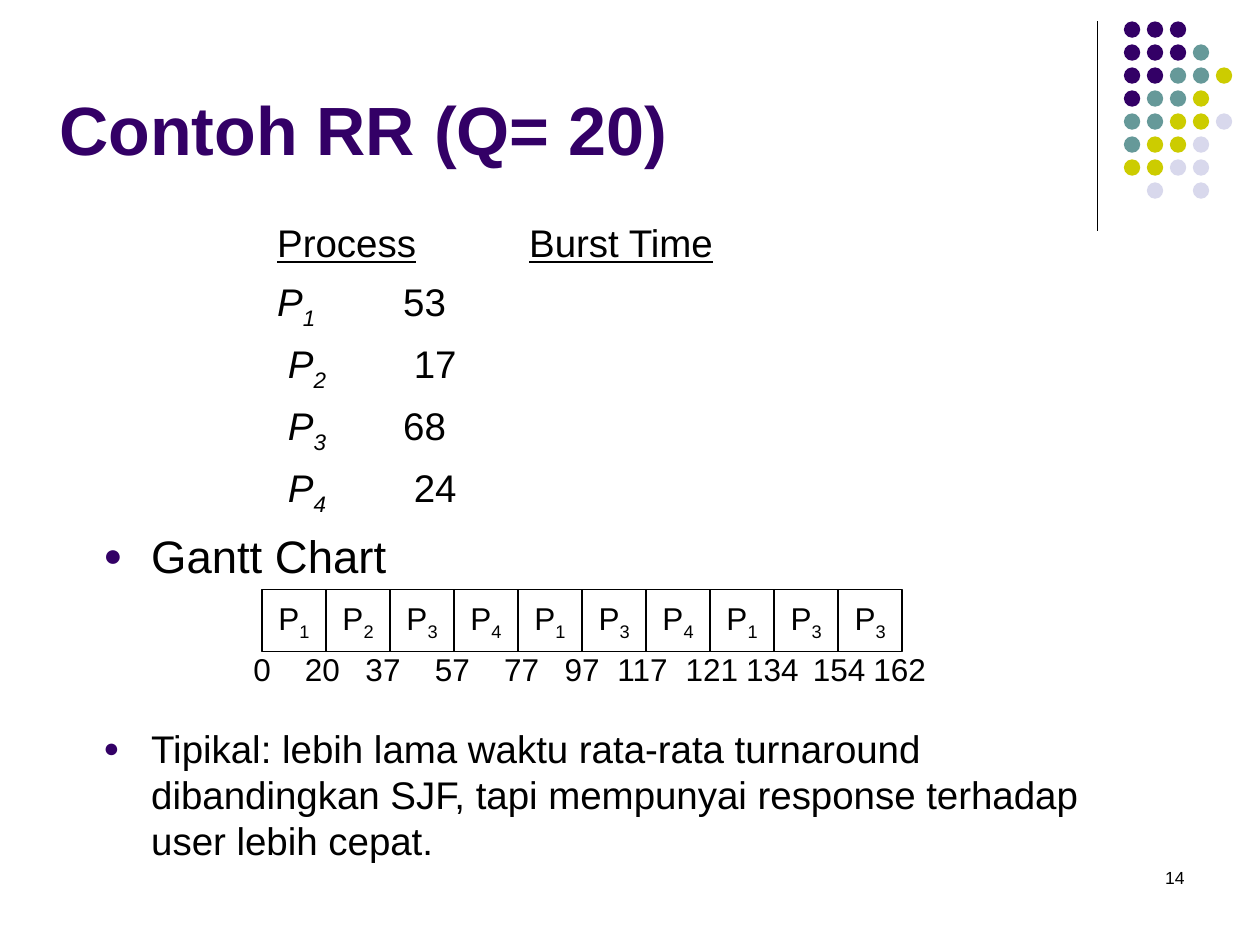
from lxml import etree
from pptx import Presentation
from pptx.dml.color import RGBColor
from pptx.enum.shapes import MSO_CONNECTOR, MSO_SHAPE
from pptx.enum.text import MSO_ANCHOR, MSO_AUTO_SIZE, PP_ALIGN
from pptx.oxml.ns import qn
from pptx.util import Inches, Pt

STRAIGHT = MSO_CONNECTOR.STRAIGHT
OVAL, RECTANGLE = MSO_SHAPE.OVAL, MSO_SHAPE.RECTANGLE
BOTTOM, MIDDLE = MSO_ANCHOR.BOTTOM, MSO_ANCHOR.MIDDLE
LEFT, CENTER, RIGHT = PP_ALIGN.LEFT, PP_ALIGN.CENTER, PP_ALIGN.RIGHT
NO_AUTOFIT = MSO_AUTO_SIZE.NONE
PURPLE, BLACK, WHITE = "330066", "000000", "FFFFFF"
SUBSCRIPT = "-25000"


def color(hex_text):
    return RGBColor.from_string(hex_text)


def set_font(para, size, hex_text=BLACK):
    para.font.name = "Arial"
    para.font.size = Pt(size)
    para.font.color.rgb = color(hex_text)


deck = Presentation()
deck.slide_width, deck.slide_height = Inches(10), Inches(7.5)
page = deck.slides.add_slide(deck.slide_layouts[1])
shapes = page.shapes

# Corner decoration: vertical rule and dot grid
rule = shapes.add_connector(STRAIGHT, Inches(8.71), Inches(0.17), Inches(8.71), Inches(1.83))
rule.line.color.rgb = color(BLACK)
rule.line.width = Pt(0.75)
etree.SubElement(rule._element.spPr, qn("a:effectLst"))

dot_colors = {"P": PURPLE, "T": "669999", "Y": "CCCC00", "L": "D8D8EC"}
dot_rows = ["PPP", "PPPT", "PPTTY", "PTTY", "TTYYL", "TYYL", "YYLL", ".L.L"]
dot_pitch = 0.73 / 4
for row, codes in enumerate(dot_rows):
    for column, code in enumerate(codes):
        if code == ".":
            continue
        dot = shapes.add_shape(OVAL, Inches(8.92 + column * dot_pitch),
                               Inches(0.17 + row * dot_pitch), Inches(0.13), Inches(0.13))
        dot.shadow.inherit = False
        dot.fill.solid()
        dot.fill.fore_color.rgb = color(dot_colors[code])
        dot.line.fill.background()

# Title
title = shapes.title
title.left, title.top, title.width, title.height = Inches(0.37), Inches(0.47), Inches(8.81), Inches(0.92)
title.text_frame.text = "Contoh RR (Q= 20)"
title.text_frame.auto_size = NO_AUTOFIT
title.text_frame.vertical_anchor = BOTTOM
para = title.text_frame.paragraphs[0]
para.alignment = LEFT
set_font(para, 39, PURPLE)
para.font.bold = True

# Body: process list, then bullets; each item is size, space before, bulleted, runs
body = page.placeholders[1]
body.left, body.top, body.width, body.height = Inches(0.72), Inches(1.58), Inches(8.38), Inches(5.47)
body.text_frame.auto_size = NO_AUTOFIT
items = [(22, 5.5, False, [("\t\t", "lead"), ("Process", "underline"), ("\t", ""),
                           ("Burst Time", "underline")])]
for indent, number, burst in [("", "1", "53"), (" ", "2", " 17"), (" ", "3", "68"), (" ", "4", " 24")]:
    items.append((22, 5.5, False, [("\t\t" + indent, ""), ("P", "italic"),
                                   (number, "subscript"), ("\t" + burst, "")]))
items.append((26, 6.5, True, [("Gantt Chart", "")]))
items.append((22, 81, True, [("Tipikal: lebih lama waktu rata-rata turnaround dibandingkan SJF, "
                              "tapi mempunyai response terhadap user lebih cepat.", "")]))

for index, (size, space, bulleted, runs) in enumerate(items):
    para = body.text_frame.add_paragraph() if index else body.text_frame.paragraphs[0]
    para.space_before = Pt(space)
    properties = para._p.get_or_add_pPr()
    properties.set("marL", str(Inches(0.38)))
    properties.set("indent", str(-Inches(0.38)))
    properties.set("defTabSz", str(Inches(1)))
    if bulleted:
        bullet_color = etree.SubElement(properties, qn("a:buClr"))
        etree.SubElement(bullet_color, qn("a:srgbClr"), val=PURPLE)
        etree.SubElement(properties, qn("a:buSzPct"), val="70000")
        etree.SubElement(properties, qn("a:buFont"), typeface="Arial")
        etree.SubElement(properties, qn("a:buChar"), char="●")
    else:
        etree.SubElement(properties, qn("a:buNone"))
    set_font(para, size)
    for text, style in runs:
        span = para.add_run()
        span.text = text
        if style == "lead":
            span.font.size = Pt(30)
        elif style == "underline":
            span.font.underline = True
        elif style in ("italic", "subscript"):
            span.font.italic = True
        if style == "subscript":
            span.font._element.set("baseline", SUBSCRIPT)

# Gantt chart: ten equal cells
cell_pitch = 5.08 / 10
for index, number in enumerate("1234134133"):
    cell = shapes.add_shape(RECTANGLE, Inches(2.08 + index * cell_pitch), Inches(4.68),
                            Inches(cell_pitch), Inches(0.49))
    cell.shadow.inherit = False
    cell.fill.solid()
    cell.fill.fore_color.rgb = color(WHITE)
    cell.line.color.rgb = color(BLACK)
    cell.line.width = Pt(0.75)
    cell.text_frame.word_wrap = False
    cell.text_frame.vertical_anchor = MIDDLE
    para = cell.text_frame.paragraphs[0]
    para.alignment = CENTER
    set_font(para, 18)
    para.add_run().text = "P"
    span = para.add_run()
    span.text = number
    span.font._element.set("baseline", SUBSCRIPT)

# Time labels (text, centre) and page number
time_labels = [("0", 2.08), ("20", 2.56), ("37", 3.04), ("57", 3.59), ("77", 4.14), ("97", 4.62),
               ("117", 5.1), ("121", 5.65), ("134", 6.13), ("154", 6.66), ("162", 7.14)]
text_boxes = []
for text, center in time_labels:
    width = 0.22 + 0.14 * len(text)
    text_boxes.append((text, center - width / 2, 5.11, width, 0.4, 18, CENTER))
text_boxes.append(("14", 7.17, 6.83, 2.33, 0.5, 10, RIGHT))

for text, left, top, width, height, size, alignment in text_boxes:
    box = shapes.add_textbox(Inches(left), Inches(top), Inches(width), Inches(height))
    box.text_frame.text = text
    box.text_frame.word_wrap = alignment == RIGHT
    if alignment == CENTER:
        box.text_frame.vertical_anchor = MIDDLE
    para = box.text_frame.paragraphs[0]
    para.alignment = alignment
    set_font(para, size)

deck.save("out.pptx")
